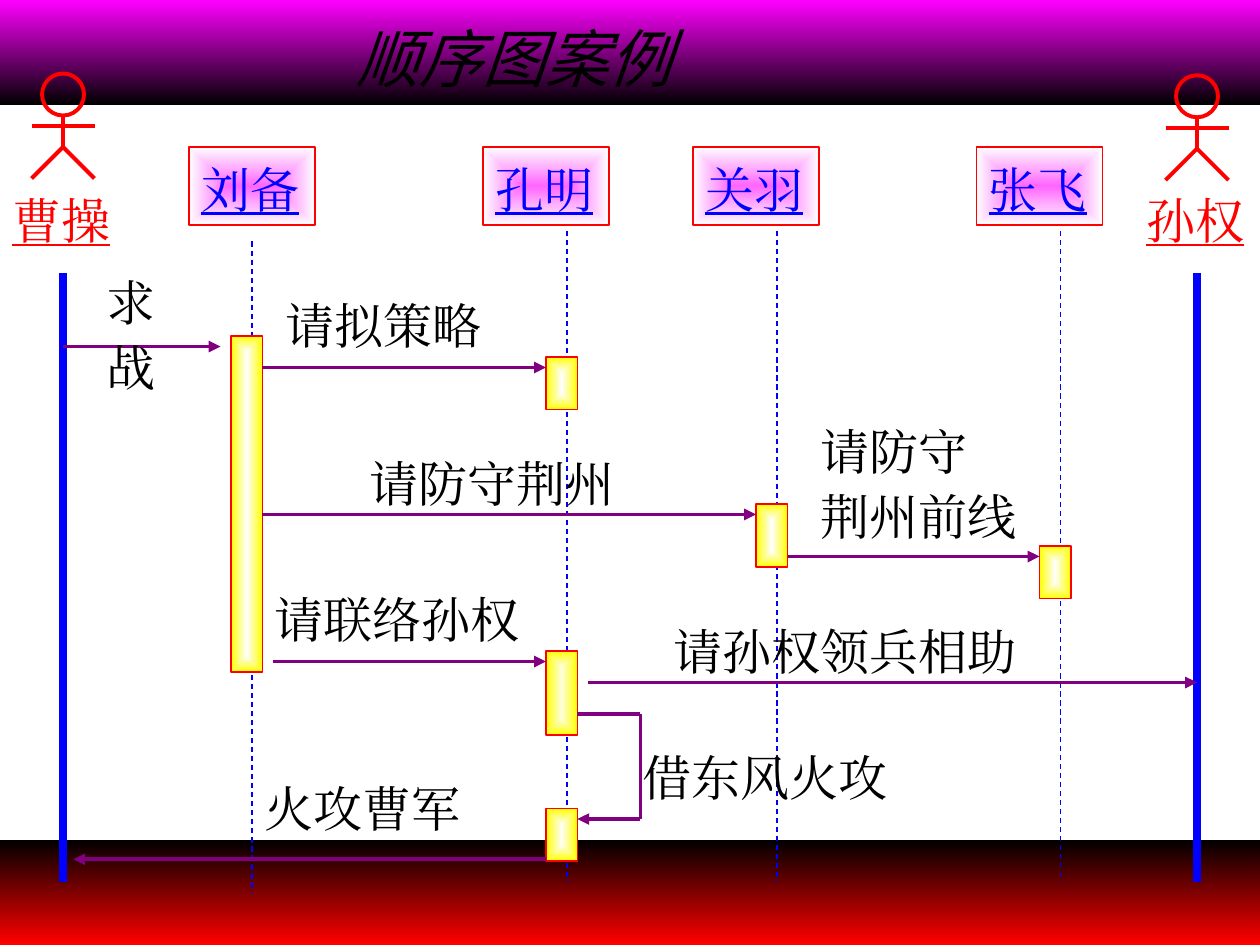
from dataclasses import dataclass

from lxml.etree import SubElement
from pptx import Presentation
from pptx.dml.color import RGBColor
from pptx.enum.dml import MSO_LINE as Dash
from pptx.enum.shapes import MSO_CONNECTOR as Link, MSO_SHAPE as Form
from pptx.enum.text import MSO_ANCHOR as Anchor, PP_ALIGN as Align
from pptx.oxml import parse_xml
from pptx.oxml.ns import nsdecls, qn
from pptx.util import Pt


@dataclass(frozen=True)
class Theme:
    black: str = "000000"
    magenta: str = "FF00FF"
    red: str = "FF0000"
    blue: str = "0000FF"
    purple: str = "800080"
    pink: str = "FF66FF"
    yellow: str = "FFFF00"
    pale: str = "FEFEFE"
    cream: str = "FEFEDB"
    ivory: str = "FEFEF4"
    title_font: str = "Noto Sans CJK SC"
    body_font: str = "Times New Roman"
    title_size: int = 36
    body_size: int = 28
    thin: float = 0.75
    medium: float = 2.25
    thick: float = 4.5


THEME = Theme()
BODY = {"name": THEME.body_font, "size": Pt(THEME.body_size)}
NAME = {**BODY, "underline": True}
TITLE = {"name": THEME.title_font, "size": Pt(THEME.title_size), "italic": True}

LINEAR = '<a:lin ang="5400000" scaled="0"/>'
FROM_CENTRE = ('<a:path path="rect"><a:fillToRect l="50000" t="50000" '
               'r="50000" b="50000"/></a:path>')

PARTICIPANTS = [("刘备", 108, 144, 138, 510), ("孔明", 276, 324, 132, 504),
                ("关羽", 396, 444, 132, 504), ("张飞", 558, 606, 132, 504)]
ACTORS = [("曹操", 36, 42), ("孙权", 684, 43)]
ACTIVATIONS = [(132, 192, 192, THEME.pale), (312, 204, 30, THEME.pale),
               (432, 288, 36, THEME.pale), (594, 312, 30, THEME.pale),
               (312, 372, 48, THEME.cream), (312, 462, 30, THEME.ivory)]
MESSAGES = [(36, 126, 198), (150, 312, 210), (150, 432, 294), (450, 594, 318),
            (156, 312, 378), (336, 684, 390), (312, 42, 491)]
LABELS = [(["求战"], 54, 149, 70), (["请拟策略"], 156, 162, 132),
          (["请防守荆州"], 204, 252, 168), (["请防守", "荆州前线"], 462, 234, 138),
          (["请联络孙权"], 150, 330, 168), (["请孙权领兵相助"], 378, 348, 228),
          (["借东风火攻"], 360, 420, 168), (["火攻曹军"], 144, 438, 144)]


def apply(target, values):
    for attribute, value in values.items():
        setattr(target, attribute, value)


def add_gradient(shape, start, end, direction):
    gradient = parse_xml(
        f'<a:gradFill {nsdecls("a")} rotWithShape="1"><a:gsLst>'
        f'<a:gs pos="0"><a:srgbClr val="{start}"/></a:gs>'
        f'<a:gs pos="100000"><a:srgbClr val="{end}"/></a:gs>'
        f'</a:gsLst>{direction}</a:gradFill>')
    shape._element.spPr.find(qn("a:prstGeom")).addnext(gradient)


def style_line(line, color, width):
    line.color.rgb = RGBColor.from_string(color)
    line.width = Pt(width)


def write(frame, lines, font, color, spacing=1.1):
    frame.word_wrap = True
    frame.vertical_anchor = Anchor.TOP
    for index, line in enumerate(lines):
        paragraph = frame.paragraphs[0] if index == 0 else frame.add_paragraph()
        apply(paragraph, {"alignment": Align.LEFT, "line_spacing": spacing})
        run = paragraph.add_run()
        run.text = line
        apply(run.font, font)
        run.font.color.rgb = RGBColor.from_string(color)
        SubElement(run._r.get_or_add_rPr(), qn("a:ea"), typeface=font["name"])


def add_box(shapes, form, left, top, width, height, outline=None, weight=THEME.thin):
    box = shapes.add_shape(form, Pt(left), Pt(top), Pt(width), Pt(height))
    box.shadow.inherit = False
    if outline:
        style_line(box.line, outline, weight)
    else:
        box.line.fill.background()
    return box


def add_line(shapes, start, end, color, width, dashed=False, arrow=False):
    line = shapes.add_connector(Link.STRAIGHT, *map(Pt, (*start, *end)))
    style_line(line.line, color, width)
    if dashed:
        line.line.dash_style = Dash.DASH
    if arrow:
        SubElement(line.line._get_or_add_ln(), qn("a:tailEnd"), type="triangle")
    SubElement(line._element.spPr, qn("a:effectLst"))


def add_label(shapes, lines, left, top, width, font=BODY, color=THEME.black):
    height = 8 + 36.7 * len(lines)
    label = shapes.add_textbox(Pt(left), Pt(top), Pt(width), Pt(height))
    write(label.text_frame, lines, font, color)


def add_band(shapes, top, start, end):
    band = add_box(shapes, Form.RECTANGLE, 0, top, 720, 60)
    add_gradient(band, start, end, LINEAR)
    return band


def add_title(band, title):
    frame = band.text_frame
    write(frame, [title], TITLE, THEME.black, 1.0)
    apply(frame, {"margin_left": Pt(204), "margin_top": Pt(9),
                  "vertical_anchor": Anchor.MIDDLE})


def add_participant(shapes, name, left, axis, start, end):
    header = add_box(shapes, Form.RECTANGLE, left, 84, 72, 44.6, THEME.red)
    add_gradient(header, THEME.pink, THEME.pale, FROM_CENTRE)
    write(header.text_frame, [name], NAME, THEME.blue)
    add_line(shapes, (axis, start), (axis, end), THEME.blue, THEME.thin, dashed=True)


def add_actor(shapes, name, axis, top):
    figure = shapes.add_group_shape().shapes
    head = add_box(figure, Form.OVAL, axis - 12, top, 24, 24, THEME.red, THEME.medium)
    head.fill.background()
    neck, arms, hip, feet = (top + drop for drop in (24, 30, 42, 60))
    limbs = [((axis, neck), (axis, hip)), ((axis - 18, arms), (axis + 18, arms)),
             ((axis, hip), (axis - 18, feet)), ((axis, hip), (axis + 18, feet))]
    for start, end in limbs:
        add_line(figure, start, end, THEME.red, THEME.medium)
    add_label(shapes, [name], axis - 36, 102, 72, NAME, THEME.red)
    add_line(shapes, (axis, 156), (axis, 504), THEME.blue, THEME.thick)


def add_activation(shapes, left, top, height, core):
    bar = add_box(shapes, Form.RECTANGLE, left, top, 18, height, THEME.red)
    add_gradient(bar, core, THEME.yellow, FROM_CENTRE)


def add_self_message(shapes, left, right, top, bottom):
    corners = [(left, top), (right, top), (right, bottom), (left, bottom)]
    for start, end in zip(corners, corners[1:]):
        add_line(shapes, start, end, THEME.purple, THEME.medium,
                 arrow=end == corners[-1])


def main():
    deck = Presentation()
    apply(deck, {"slide_width": Pt(720), "slide_height": Pt(540)})
    shapes = deck.slides.add_slide(deck.slide_layouts[6]).shapes

    add_title(add_band(shapes, 0, THEME.magenta, THEME.black), "顺序图案例")
    add_band(shapes, 480, THEME.black, THEME.red)
    for participant in PARTICIPANTS:
        add_participant(shapes, *participant)
    for actor in ACTORS:
        add_actor(shapes, *actor)
    for activation in ACTIVATIONS:
        add_activation(shapes, *activation)
    for start, end, level in MESSAGES:
        add_line(shapes, (start, level), (end, level), THEME.purple,
                 THEME.medium, arrow=True)
    add_self_message(shapes, 330, 366, 408, 468)
    for label in LABELS:
        add_label(shapes, *label)

    deck.save("out.pptx")


if __name__ == "__main__":
    main()
